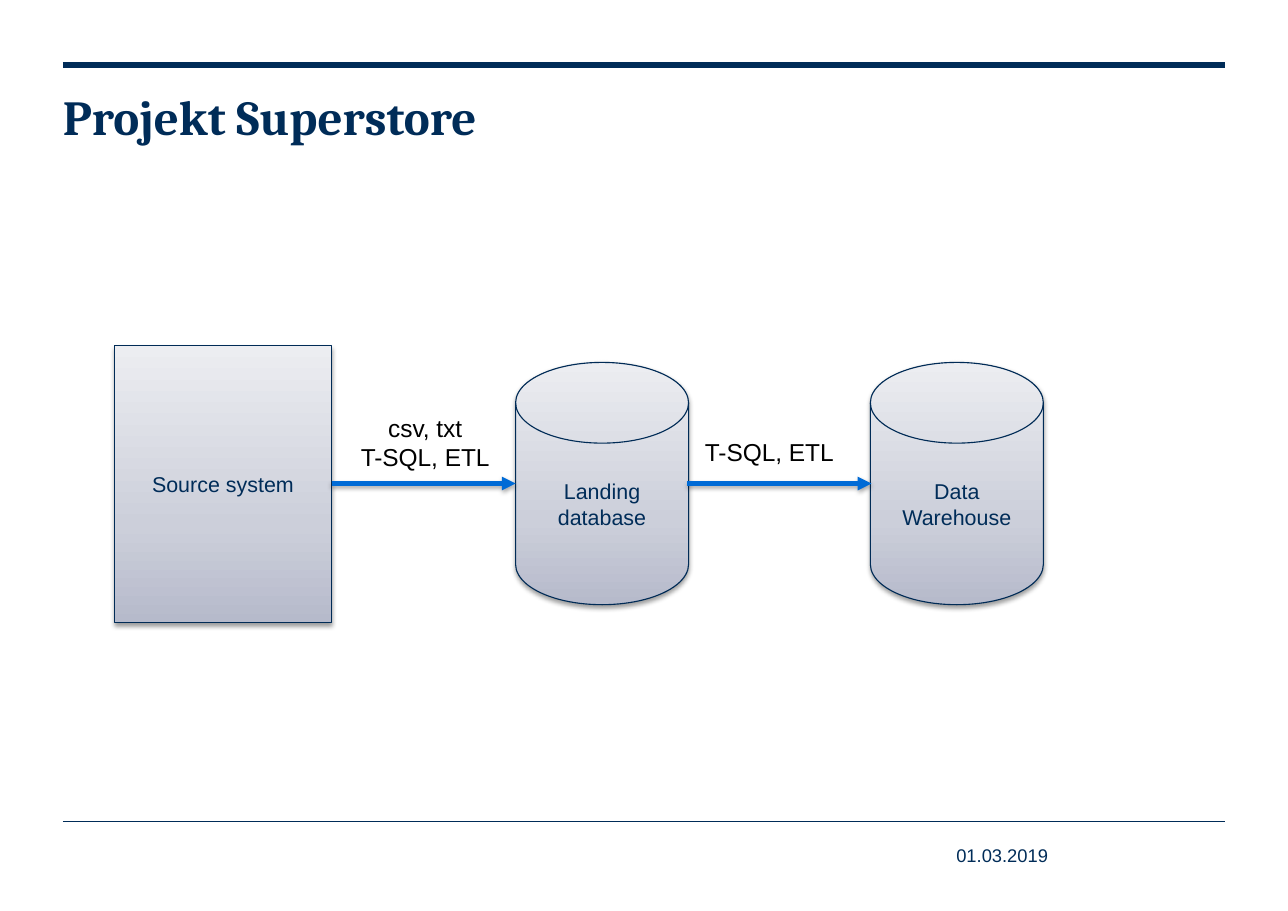
from copy import deepcopy

from lxml import etree
from pptx import Presentation
from pptx.dml.color import RGBColor
from pptx.enum.shapes import MSO_CONNECTOR, MSO_SHAPE
from pptx.enum.text import MSO_ANCHOR, MSO_AUTO_SIZE, PP_ALIGN
from pptx.oxml.ns import qn
from pptx.util import Pt

PX = 9144  # 100 px to the inch
NAVY = RGBColor(0x00, 0x2C, 0x58)
OUTLINE = RGBColor(0x00, 0x2B, 0x56)
BLUE = RGBColor(0x00, 0x6B, 0xD6)
BLACK = RGBColor(0x00, 0x00, 0x00)
GRADIENT = [
    (0, RGBColor(0xB6, 0xBA, 0xCB)),
    (0.35, RGBColor(0xCC, 0xCF, 0xDA)),
    (1, RGBColor(0xEC, 0xED, 0xF1)),
]
RECT, DISK = MSO_SHAPE.RECTANGLE, MSO_SHAPE.FLOWCHART_MAGNETIC_DISK
STRAIGHT = MSO_CONNECTOR.STRAIGHT
TOP, MIDDLE = MSO_ANCHOR.TOP, MSO_ANCHOR.MIDDLE
LEFT, CENTER = PP_ALIGN.LEFT, PP_ALIGN.CENTER
NO_FIT, GROW = MSO_AUTO_SIZE.NONE, MSO_AUTO_SIZE.SHAPE_TO_FIT_TEXT
NO_MARGINS = dict(margin_left=0, margin_top=0, margin_right=0, margin_bottom=0)


def write(sp, lines, size, color, align, frame, font="Arial", bold=False):
    """Fill a shape with one paragraph per line; frame holds text frame settings."""
    tf = sp.text_frame
    for name, value in frame.items():
        setattr(tf, name, value)
    for i, line in enumerate(lines):
        p = tf.add_paragraph() if i else tf.paragraphs[0]
        p.alignment = align
        r = p.add_run()
        r.text = line
        style = dict(size=Pt(size), name=font, bold=bold)
        for name, value in style.items():
            setattr(r.font, name, value)
        r.font.color.rgb = color


def set_effects(sp, shadow=None):
    """Replace the theme effects by none, or by a shadow of (alpha %, distance pt)."""
    effects = etree.SubElement(sp._element.spPr, qn("a:effectLst"))
    if shadow:
        alpha, distance = shadow
        outer = etree.SubElement(
            effects, qn("a:outerShdw"), blurRad=str(Pt(3.1)),
            dist=str(Pt(distance)), dir="5400000", rotWithShape="0")
        color = etree.SubElement(outer, qn("a:srgbClr"), val="000000")
        etree.SubElement(color, qn("a:alpha"), val=str(alpha * 1000))


prs = Presentation()
prs.slide_width, prs.slide_height = 1169 * PX, 827 * PX
s = prs.slides.add_slide(prs.slide_layouts[5])

# Page rules
for y, width in [(746, 0.75), (59, 4)]:
    rule = s.shapes.add_connector(STRAIGHT, 57 * PX, y * PX, 1112 * PX, y * PX)
    rule.line.color.rgb = NAVY
    rule.line.width = Pt(width)
    set_effects(rule)

# Title and date
title = s.shapes.title
title.left, title.top, title.width, title.height = 57 * PX, 85 * PX, 1055 * PX, 48 * PX
write(title, ["Projekt Superstore"], 32, NAVY, LEFT,
      dict(NO_MARGINS, vertical_anchor=TOP, auto_size=NO_FIT), "Cambria", True)
title.text_frame.paragraphs[0].line_spacing = 0.9

date = s.shapes.add_textbox(868 * PX, 766 * PX, 124 * PX, 20 * PX)
write(date, ["01.03.2019"], 12, NAVY, LEFT, dict(NO_MARGINS, word_wrap=True))

# Systems, all centred on the flow axis
FLOW_Y = 439
systems = [
    (DISK, 468, 157, 220, "Landing database"),
    (DISK, 790, 157, 220, "Data Warehouse"),
    (RECT, 104, 197, 251, "Source system"),
]
for kind, x, w, h, name in systems:
    sp = s.shapes.add_shape(kind, x * PX, (FLOW_Y - h // 2) * PX, w * PX, h * PX)
    sp.fill.gradient()
    sp.fill.gradient_angle = 90
    stop_list = sp._element.spPr.find(".//" + qn("a:gsLst"))
    stop_list.append(deepcopy(stop_list[0]))
    for stop, (position, color) in zip(sp.fill.gradient_stops, GRADIENT):
        stop.position = position
        stop.color.rgb = color
    sp.line.color.rgb = OUTLINE
    sp.line.width = Pt(0.75)
    set_effects(sp, (38, 1.6))
    write(sp, [name], 14, NAVY, CENTER, dict(vertical_anchor=MIDDLE, word_wrap=True))

# Data flows
for x1, x2 in [(301, 468), (624, 791)]:
    arrow = s.shapes.add_connector(STRAIGHT, x1 * PX, FLOW_Y * PX, x2 * PX, FLOW_Y * PX)
    arrow.line.color.rgb = BLUE
    arrow.line.width = Pt(3)
    etree.SubElement(arrow.line._get_or_add_ln(), qn("a:tailEnd"), type="triangle")
    set_effects(arrow, (35, 1.8))

TOOLS = "T-SQL, ETL"
labels = [
    (311, 370, 64, CENTER, ["csv, txt", TOOLS]),
    (630, 392, 37, LEFT, [TOOLS]),
]
for x, y, h, align, lines in labels:
    label = s.shapes.add_textbox(x * PX, y * PX, 150 * PX, h * PX)
    write(label, lines, 16, BLACK, align, dict(word_wrap=False, auto_size=GROW))

prs.save("out.pptx")
